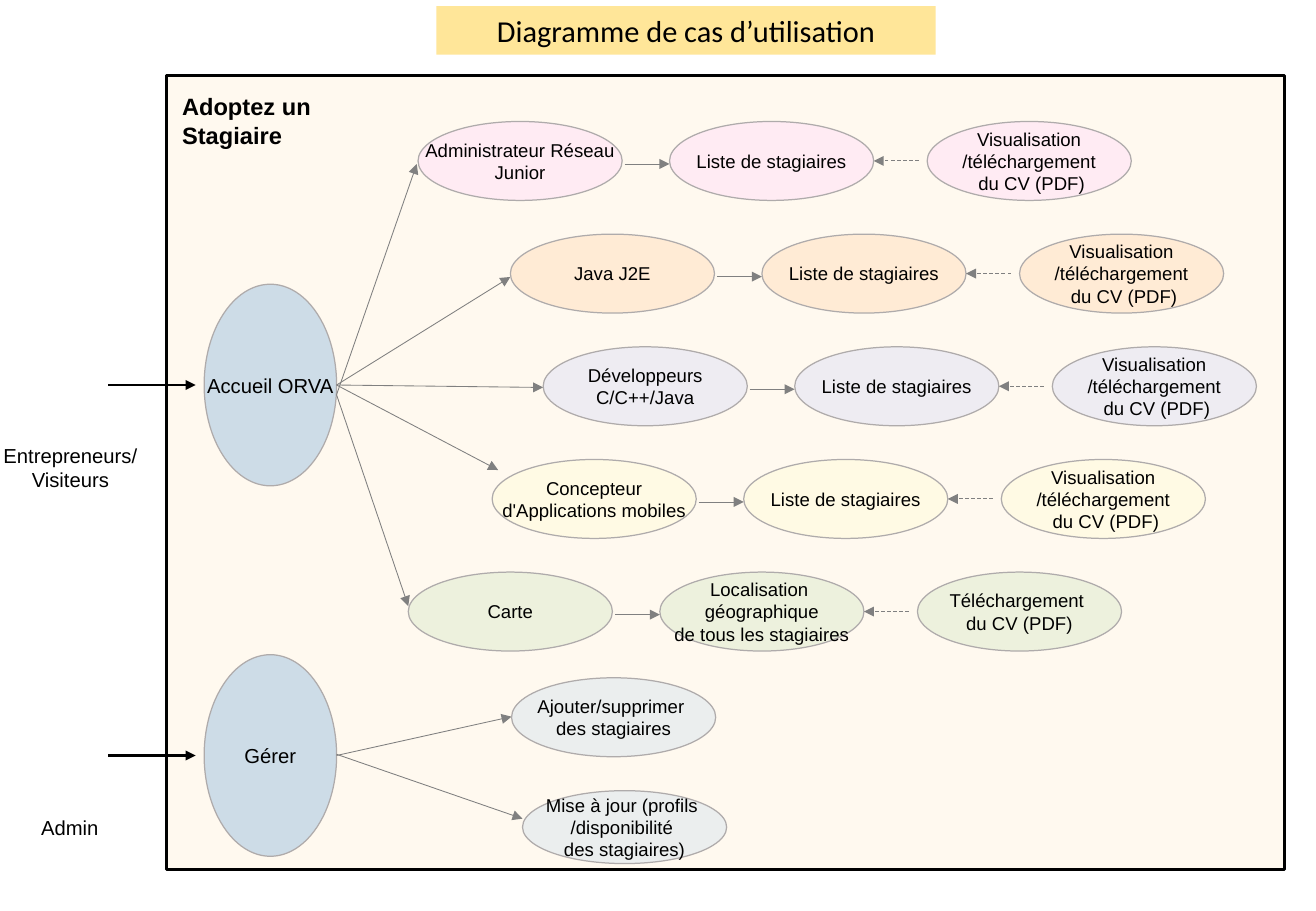
from lxml.etree import SubElement
from pptx import Presentation
from pptx.dml.color import RGBColor
from pptx.enum.dml import MSO_LINE
from pptx.enum.shapes import MSO_CONNECTOR, MSO_SHAPE
from pptx.enum.text import MSO_ANCHOR, PP_ALIGN
from pptx.oxml.ns import qn
from pptx.util import Inches, Pt

# Content
TITLE = "Diagramme de cas d’utilisation"
SYSTEM = "Adoptez un Stagiaire"
TRAINEES = ["Liste de stagiaires"]
CV = ["Visualisation", "/téléchargement", " du CV (PDF)"]
# Course rows: left, colour, opacity, three texts, hub arrow (y start, x end, y end)
COURSES = [
    (3.44, "FFCCFF", 31, (["Administrateur Réseau", "Junior"], TRAINEES, CV),
     (3.25, 3.43, 1.35)),
    (4.20, "FFCC99", 30, (["Java J2E"], TRAINEES, CV), (3.17, 4.20, 2.28)),
    (4.47, "C9CEFB", 30, (["Développeurs", "C/C++/Java"], TRAINEES, CV),
     (3.17, 4.47, 3.19)),
    (4.05, "FFFFCC", 30, (["Concepteur", "d'Applications mobiles"], TRAINEES, CV),
     (3.17, 4.10, 3.87)),
    (3.36, "C5E0B4", 30,
     (["Carte"], ["Localisation ", "géographique", "de tous les stagiaires"],
      ["Téléchargement ", "du CV (PDF)"]), (3.25, 3.36, 4.99)),
]
# Admin tasks: left, top, height, text, hub arrow (y start, x end, y end)
TASKS = [
    (4.21, 5.58, 0.65, ["Ajouter/supprimer ", "des stagiaires"], (6.22, 4.21, 5.90)),
    (4.30, 6.51, 0.60, ["Mise à jour (profils ", "/disponibilité ", "des stagiaires)"],
     (6.21, 4.30, 6.74)),
]
# Entry points: hub text, hub top, actor text, actor box
ENTRIES = [
    ("Accueil ORVA", 2.34, ["Entrepreneurs/", "Visiteurs"], (-0.07, 3.60, 1.30, 0.50)),
    ("Gérer", 5.39, ["Admin"], (0.24, 6.66, 0.67, 0.30)),
]

# Layout
CASE_W, CASE_H = 1.68, 0.65
HUB_X, HUB_W, HUB_H = 1.68, 1.09, 1.66
HUB_RIGHT = HUB_X + HUB_W
CASE_OFFSETS = (0, 2.07, 4.19)
FIRST_TOP, LAST_TOP = 1.00, 4.71
STEP = (LAST_TOP - FIRST_TOP) / (len(COURSES) - 1)
BLACK, GREY, OUTLINE = "000000", "808080", "AFABAB"

prs = Presentation()
prs.slide_width, prs.slide_height = Inches(10.83), Inches(7.5)
s = prs.slides.add_slide(prs.slide_layouts[6])


def rgb(color):
    return RGBColor.from_string(color)


def add_text(sp, lines, size, font="Arial", bold=False, align=PP_ALIGN.CENTER,
             anchor=MSO_ANCHOR.MIDDLE):
    tf = sp.text_frame
    tf.word_wrap = False
    tf.vertical_anchor = anchor
    tf.margin_top = tf.margin_bottom = Inches(0.05 if anchor == MSO_ANCHOR.TOP else 0)
    for i, line in enumerate(lines):
        p = tf.add_paragraph() if i else tf.paragraphs[0]
        p.alignment = align
        r = p.add_run()
        r.text = line
        r.font.size, r.font.name, r.font.bold = Pt(size), font, bold
        r.font.color.rgb = rgb(BLACK)


def add_filled(parent, kind, box, color, opacity=100, line=None, width=0.75):
    sp = parent.shapes.add_shape(kind, *map(Inches, box))
    sp.shadow.inherit = False
    sp.fill.solid()
    sp.fill.fore_color.rgb = rgb(color)
    if opacity < 100:
        clr = sp.fill._xPr.find(qn("a:solidFill"))[0]
        SubElement(clr, qn("a:alpha"), val=str(opacity * 1000))
    if line:
        sp.line.color.rgb = rgb(line)
        sp.line.width = Pt(width)
    else:
        sp.line.fill.background()
    return sp


def add_oval(parent, box, color, opacity, lines, size=11):
    sp = add_filled(parent, MSO_SHAPE.OVAL, box, color, opacity, OUTLINE)
    add_text(sp, lines, size)


def add_label(box, lines, size, **style):
    sp = s.shapes.add_textbox(*map(Inches, box))
    add_text(sp, lines, size, anchor=MSO_ANCHOR.TOP, **style)


def add_arrow(parent, x1, y1, x2, y2, color=GREY, width=0.51, dashed=False):
    c = parent.shapes.add_connector(MSO_CONNECTOR.STRAIGHT,
                                    *map(Inches, (x1, y1, x2, y2)))
    c.line.color.rgb = rgb(color)
    c.line.width = Pt(width)
    if dashed:
        c.line.dash_style = MSO_LINE.DASH
    SubElement(c.line._get_or_add_ln(), qn("a:tailEnd"), type="triangle")
    SubElement(c._element.spPr, qn("a:effectLst"))


# System boundary and title
add_filled(s, MSO_SHAPE.RECTANGLE, (1.37, 0.62, 9.2, 6.54), "FFCC66", 10, BLACK, 1.5)
add_label((1.4, 0.71, 2.13, 0.33), [SYSTEM], 14, bold=True, align=PP_ALIGN.LEFT)
banner = add_filled(s, MSO_SHAPE.RECTANGLE, (3.59, 0.05, 4.11, 0.4), "FFE699")
add_text(banner, [TITLE], 18, "Calibri")

# Actors, hubs and entry arrows
for hub, top, actor, actor_box in ENTRIES:
    add_oval(s, (HUB_X, top, HUB_W, HUB_H), "5B9BD5", 30, [hub], 12)
    add_label(actor_box, actor, 12)
    middle = top + HUB_H / 2
    add_arrow(s, 0.89, middle, 1.61, middle, BLACK, 1.5)

# Arrows from the hubs
for *_, (y1, x2, y2) in COURSES + TASKS:
    add_arrow(s, HUB_RIGHT, y1, x2, y2)

# Course rows
for i, (left, color, opacity, texts, _) in enumerate(COURSES):
    top = FIRST_TOP + i * STEP
    row = s.shapes.add_group_shape()
    for offset, lines in zip(CASE_OFFSETS, texts):
        add_oval(row, (left + offset, top, CASE_W, CASE_H), color, opacity, lines)
    _, list_x, cv_x = (left + offset for offset in CASE_OFFSETS)
    add_arrow(row, left + CASE_W + 0.02, top + 0.35, list_x, top + 0.35)
    middle = top + CASE_H / 2
    add_arrow(row, cv_x - 0.07, middle, list_x + CASE_W, middle, dashed=True)

# Admin tasks
for left, top, height, lines, _ in TASKS:
    add_oval(s, (left, top, CASE_W, height), "BDD7EE", 30, lines)

prs.save("out.pptx")
